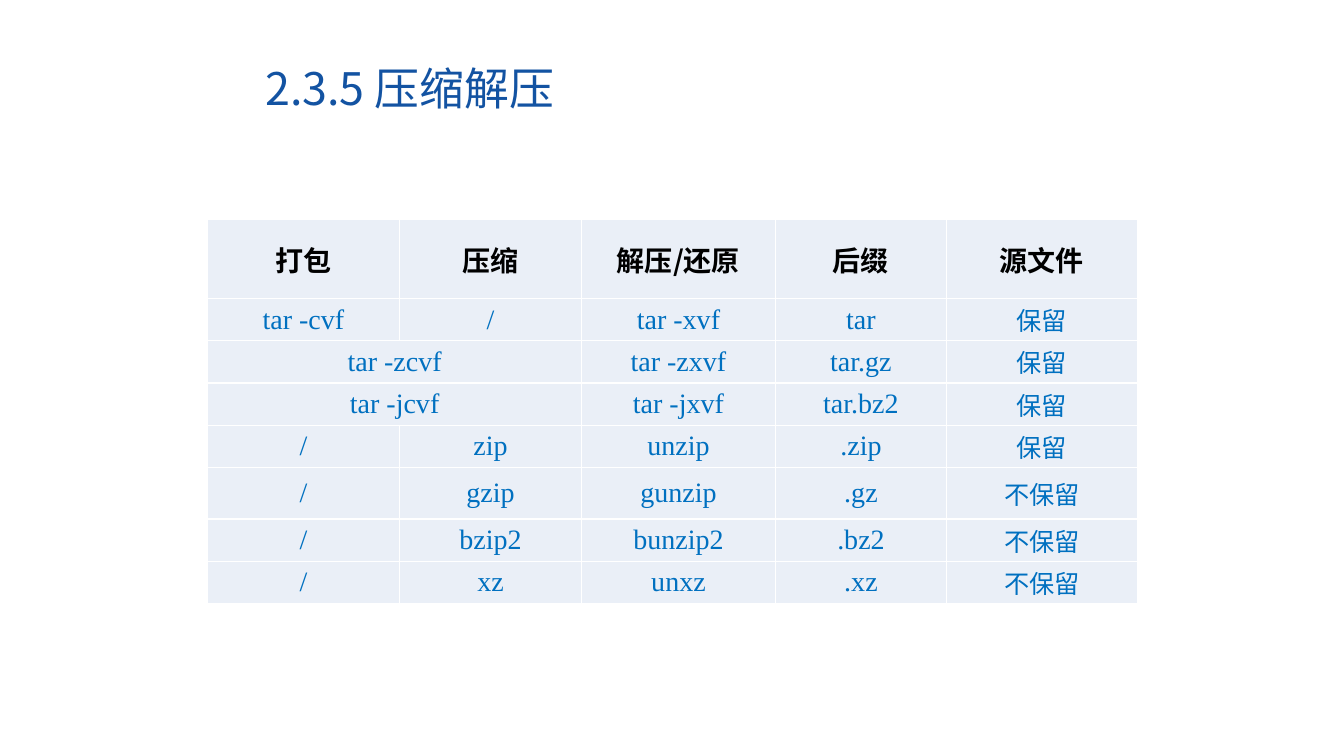
from lxml import etree
from pptx import Presentation
from pptx.dml.color import RGBColor
from pptx.enum import text as t
from pptx.oxml.ns import qn
from pptx.util import Inches, Pt

SANS = "Noto Sans CJK SC"
SERIF = "Times New Roman"
WIDTHS = [1.9, 1.81, 1.92, 1.7, 1.89]
HEIGHTS = [0.78, 0.42, 0.42, 0.42, 0.42, 0.51, 0.42, 0.42]
ROWS = [
    ["打包", "压缩", "解压/还原", "后缀", "源文件"],
    ["tar -cvf", "/", "tar -xvf", "tar", "保留"],
    ["tar -zcvf", None, "tar -zxvf", "tar.gz", "保留"],
    ["tar -jcvf", None, "tar -jxvf", "tar.bz2", "保留"],
    ["/", "zip", "unzip", ".zip", "保留"],
    ["/", "gzip", "gunzip", ".gz", "不保留"],
    ["/", "bzip2", "bunzip2", ".bz2", "不保留"],
    ["/", "xz", "unxz", ".xz", "不保留"],
]


def color(code):
    return RGBColor.from_string(code)


def add_run(para, words, size, face, code, bold=False):
    run = para.add_run()
    run.text = words
    font = run.font
    font.size, font.name, font.bold = Pt(size), face, bold
    font.color.rgb = color(code)
    east = etree.SubElement(run._r.get_or_add_rPr(), qn("a:ea"))
    east.set("typeface", face)


def add_title(slide, words):
    title = slide.shapes.title
    title.left, title.top = Inches(2.53), Inches(0.55)
    title.width, title.height = Inches(5.67), Inches(0.64)
    frame = title.text_frame
    frame.auto_size = t.MSO_AUTO_SIZE.NONE
    frame.vertical_anchor = t.MSO_ANCHOR.MIDDLE
    para = frame.paragraphs[0]
    para.alignment = t.PP_ALIGN.LEFT
    add_run(para, words, 32, SANS, "1353A2")


def add_edges(cell, code, width):
    props = cell._tc.get_or_add_tcPr()
    for spot, side in enumerate(["lnL", "lnR", "lnT", "lnB"]):
        line = etree.Element(qn("a:" + side), w=str(Pt(width)))
        fill = etree.SubElement(line, qn("a:solidFill"))
        etree.SubElement(fill, qn("a:srgbClr"), val=code)
        props.insert(spot, line)


def style_cell(cell):
    cell.fill.solid()
    cell.fill.fore_color.rgb = color("EAEFF7")
    cell.vertical_anchor = t.MSO_ANCHOR.MIDDLE
    cell.margin_left = cell.margin_right = Inches(0.12)
    cell.margin_top = cell.margin_bottom = Inches(0)
    add_edges(cell, "FFFFFF", 1)


def fill_cell(cell, words, head, last):
    para = cell.text_frame.paragraphs[0]
    para.alignment = t.PP_ALIGN.CENTER
    if head:
        add_run(para, words, 20, SANS, "000000", True)
    elif last:
        add_run(para, words, 18, SANS, "0070C0")
    else:
        add_run(para, words, 20, SERIF, "0070C0")


def add_grid(slide):
    frame = slide.shapes.add_table(
        len(ROWS), len(WIDTHS), Inches(2.06), Inches(2.18),
        Inches(sum(WIDTHS)), Inches(sum(HEIGHTS)))
    table = frame.table
    for col, width in zip(table.columns, WIDTHS):
        col.width = Inches(width)
    for row, height in zip(table.rows, HEIGHTS):
        row.height = Inches(height)
    for r, row in enumerate(ROWS):
        for c, words in enumerate(row):
            cell = table.cell(r, c)
            style_cell(cell)
            if words is None:
                table.cell(r, c - 1).merge(cell)
            else:
                fill_cell(cell, words, r == 0, c == len(row) - 1)


def main():
    deck = Presentation()
    deck.slide_width, deck.slide_height = Inches(13.33), Inches(7.5)
    slide = deck.slides.add_slide(deck.slide_layouts[5])
    add_title(slide, "2.3.5 压缩解压")
    add_grid(slide)
    deck.save("out.pptx")


if __name__ == "__main__":
    main()
